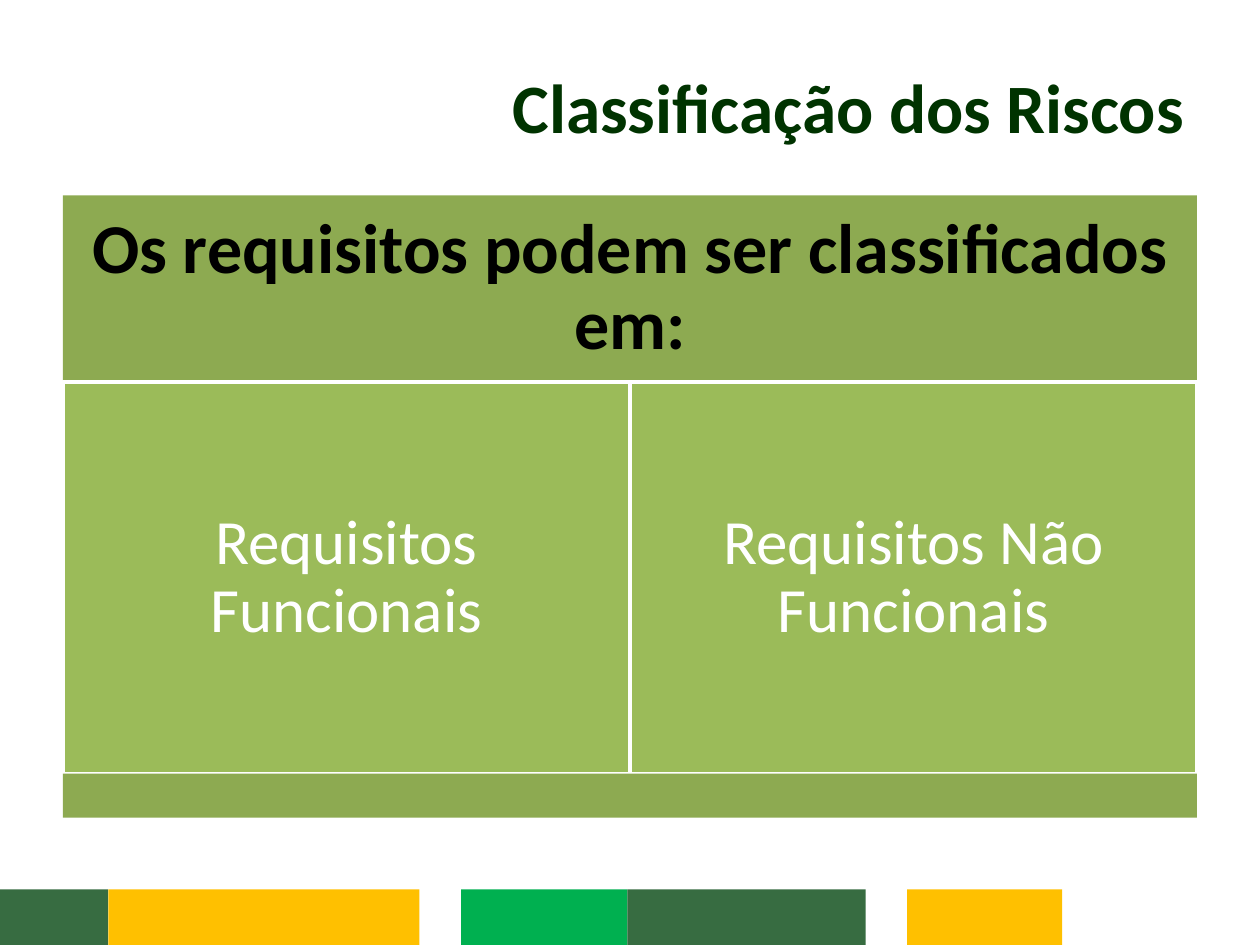
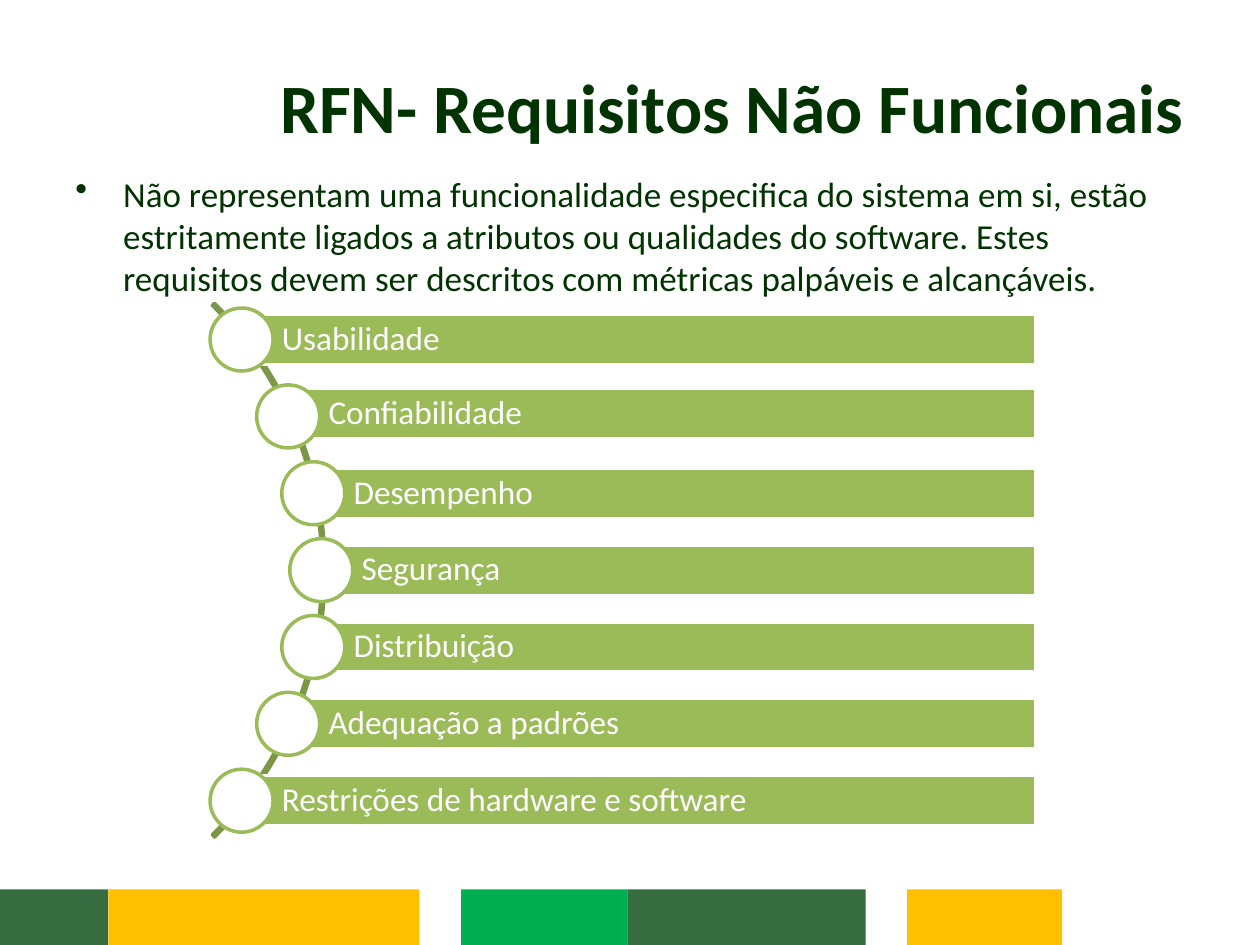
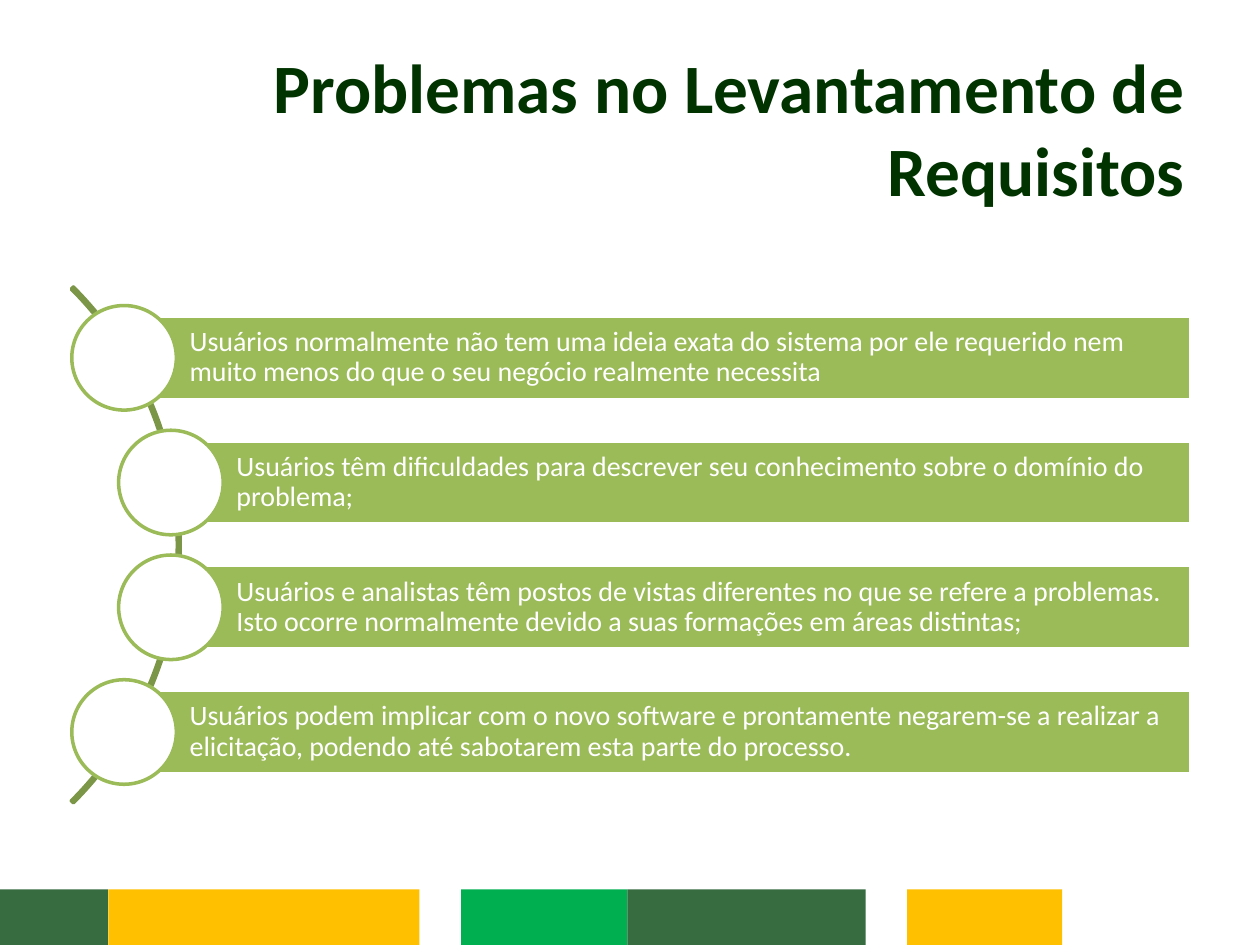
from dataclasses import dataclass
from math import sqrt

from lxml import etree
from pptx import Presentation
from pptx.dml.color import RGBColor
from pptx.enum.shapes import MSO_SHAPE
from pptx.enum.text import MSO_ANCHOR, PP_ALIGN
from pptx.oxml.ns import qn
from pptx.util import Inches, Pt


@dataclass(frozen=True)
class Theme:
    font: str = "Calibri"
    title_color: str = "003300"
    black: str = "000000"
    white: str = "FFFFFF"
    panel: str = "9BBB59"
    header: str = "8DAA51"
    arc: str = "7C9647"
    forest: str = "376C41"
    gold: str = "FFC000"
    green: str = "00B050"
    title_size: float = 39.6
    header_size: float = 40
    panel_size: float = 36
    body_size: float = 20
    quality_size: float = 19
    problem_size: float = 16
    line_width: float = 2


THEME = Theme()

FOOTER_BLOCKS = (
    (0, 0.86, THEME.forest),
    (0.86, 2.47, THEME.gold),
    (3.66, 1.32, THEME.green),
    (4.98, 1.89, THEME.forest),
    (7.2, 1.23, THEME.gold),
)

QUALITIES = (
    "Usabilidade",
    "Confiabilidade",
    "Desempenho",
    "Segurança",
    "Distribuição",
    "Adequação a padrões",
    "Restrições de hardware e software",
)

PROBLEMS = (
    "Usuários normalmente não tem uma ideia exata do sistema por ele requerido "
    "nem muito menos do que o seu negócio realmente necessita",
    "Usuários têm dificuldades para descrever seu conhecimento sobre o domínio "
    "do problema;",
    "Usuários e analistas têm postos de vistas diferentes no que se refere a "
    "problemas. Isto ocorre normalmente devido a suas formações em áreas distintas;",
    "Usuários podem implicar com o novo software e prontamente negarem-se a "
    "realizar a elicitação, podendo até sabotarem esta parte do processo.",
)


def write_text(shape, text, *, size, color, bold=False, align=PP_ALIGN.LEFT,
               anchor=MSO_ANCHOR.MIDDLE, insets=(0.1, 0.05, 0.1, 0.05),
               line_spacing=1.0, bullet_indent=None):
    frame = shape.text_frame
    frame.word_wrap = True
    frame.vertical_anchor = anchor
    (frame.margin_left, frame.margin_top,
     frame.margin_right, frame.margin_bottom) = map(Inches, insets)
    paragraph = frame.paragraphs[0]
    paragraph.text = text
    paragraph.alignment = align
    paragraph.line_spacing = line_spacing
    if bullet_indent:
        properties = paragraph._p.get_or_add_pPr()
        properties.set("marL", str(Inches(bullet_indent)))
        properties.set("indent", str(-Inches(bullet_indent)))
        etree.SubElement(properties, qn("a:buChar")).set("char", "•")
    font = paragraph.font
    font.name = THEME.font
    font.size = Pt(size)
    font.bold = bold
    font.color.rgb = RGBColor.from_string(color)


def add_figure(slide, kind, left, top, width, height, fill=None, line=None):
    shape = slide.shapes.add_shape(
        kind, Inches(left), Inches(top), Inches(width), Inches(height))
    shape.shadow.inherit = False
    if fill:
        shape.fill.solid()
        shape.fill.fore_color.rgb = RGBColor.from_string(fill)
    else:
        shape.fill.background()
    if line:
        shape.line.color.rgb = RGBColor.from_string(line)
        shape.line.width = Pt(THEME.line_width)
    else:
        shape.line.fill.background()
    return shape


def add_text_box(slide, text, left, top, width, height, **text_format):
    box = slide.shapes.add_textbox(
        Inches(left), Inches(top), Inches(width), Inches(height))
    write_text(box, text, **text_format)


def add_titled_slide(presentation, title, top=0.44, height=0.8):
    slide = presentation.slides.add_slide(presentation.slide_layouts[6])
    for left, width, color in FOOTER_BLOCKS:
        add_figure(slide, MSO_SHAPE.RECTANGLE, left, 7.06, width, 0.44, color)
    add_text_box(slide, title, 0.5, top, 9, height, size=THEME.title_size,
                 color=THEME.title_color, bold=True, align=PP_ALIGN.RIGHT)
    return slide


def add_category_panel(slide, heading, categories):
    left, width = 0.5, 9
    header = add_figure(slide, MSO_SHAPE.RECTANGLE, left, 1.55, width, 1.48,
                        THEME.header)
    write_text(header, heading, size=THEME.header_size, color=THEME.black,
               bold=True, align=PP_ALIGN.CENTER, insets=(0.17,) * 4,
               line_spacing=0.9)
    column_width = width / len(categories)
    for index, category in enumerate(categories):
        column = add_figure(slide, MSO_SHAPE.RECTANGLE,
                            left + index * column_width, 3.03,
                            column_width, 3.11, THEME.panel, THEME.white)
        write_text(column, category, size=THEME.panel_size, color=THEME.white,
                   align=PP_ALIGN.CENTER, insets=(0.15,) * 4, line_spacing=0.9)
    add_figure(slide, MSO_SHAPE.RECTANGLE, left, 6.14, width, 0.35, THEME.header)


def add_curved_list(slide, items, *, arc_left, arc_top, arc_size, step,
                    bar_right, bar_height, circle_size, text_size, insets,
                    bar_lifts=None):
    arc = add_figure(slide, MSO_SHAPE.BLOCK_ARC, arc_left, arc_top,
                     arc_size, arc_size, line=THEME.arc)
    for index, value in enumerate((189, 27, 0.004)):
        arc.adjustments[index] = value
    center_x = arc_left + arc_size / 2
    center_y = arc_top + arc_size / 2
    radius = arc_size / 2 - 0.03
    lifts = bar_lifts or {}
    for index, item in enumerate(items):
        offset = (index - (len(items) - 1) / 2) * step
        x = center_x + sqrt(radius ** 2 - offset ** 2)
        y = center_y + offset
        bar = add_figure(slide, MSO_SHAPE.RECTANGLE, x,
                         y - bar_height / 2 - lifts.get(index, 0),
                         bar_right - x, bar_height, THEME.panel, THEME.white)
        write_text(bar, item, size=text_size, color=THEME.white,
                   insets=insets, line_spacing=0.9)
        add_figure(slide, MSO_SHAPE.OVAL, x - circle_size / 2,
                   y - circle_size / 2, circle_size, circle_size,
                   THEME.white, THEME.panel)


def build_classification(presentation):
    slide = add_titled_slide(presentation, "Classificação dos Riscos")
    add_category_panel(slide, "Os requisitos podem ser classificados em:",
                       ("Requisitos Funcionais", "Requisitos Não Funcionais"))


def build_qualities(presentation):
    slide = add_titled_slide(presentation, "RFN- Requisitos Não Funcionais")
    add_text_box(
        slide,
        "Não representam uma funcionalidade especifica do sistema em si, estão "
        "estritamente ligados a atributos ou qualidades do software. Estes "
        "requisitos devem ser descritos com métricas palpáveis e alcançáveis.",
        0.5, 1.32, 9, 4.86, size=THEME.body_size, color=THEME.title_color,
        anchor=MSO_ANCHOR.TOP, bullet_indent=0.38)
    add_curved_list(slide, QUALITIES, arc_left=-3.41, arc_top=1.53,
                    arc_size=5.99, step=0.61, bar_right=8.22, bar_height=0.4,
                    circle_size=0.5, text_size=THEME.quality_size,
                    insets=(0.32, 0.05, 0.05, 0.05), bar_lifts={1: 0.02})


def build_problems(presentation):
    slide = add_titled_slide(
        presentation, "Problemas no Levantamento de Requisitos", 0.69, 0.64)
    add_curved_list(slide, PROBLEMS, arc_left=-4.36, arc_top=1.43,
                    arc_size=5.79, step=0.99, bar_right=9.45, bar_height=0.66,
                    circle_size=0.83, text_size=THEME.problem_size,
                    insets=(0.52, 0.04, 0.04, 0.04))


def main():
    presentation = Presentation()
    presentation.slide_width = Inches(10)
    presentation.slide_height = Inches(7.5)
    build_classification(presentation)
    build_qualities(presentation)
    build_problems(presentation)
    presentation.save("out.pptx")


if __name__ == "__main__":
    main()
